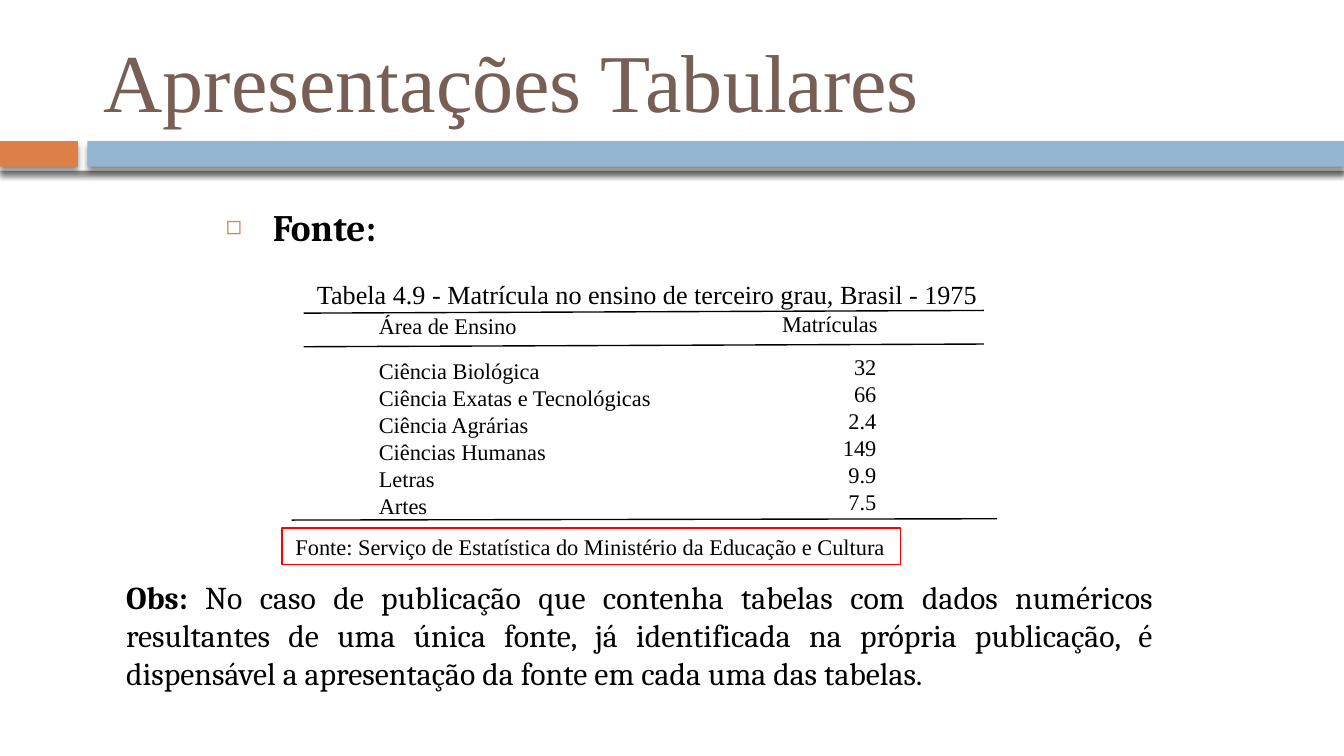
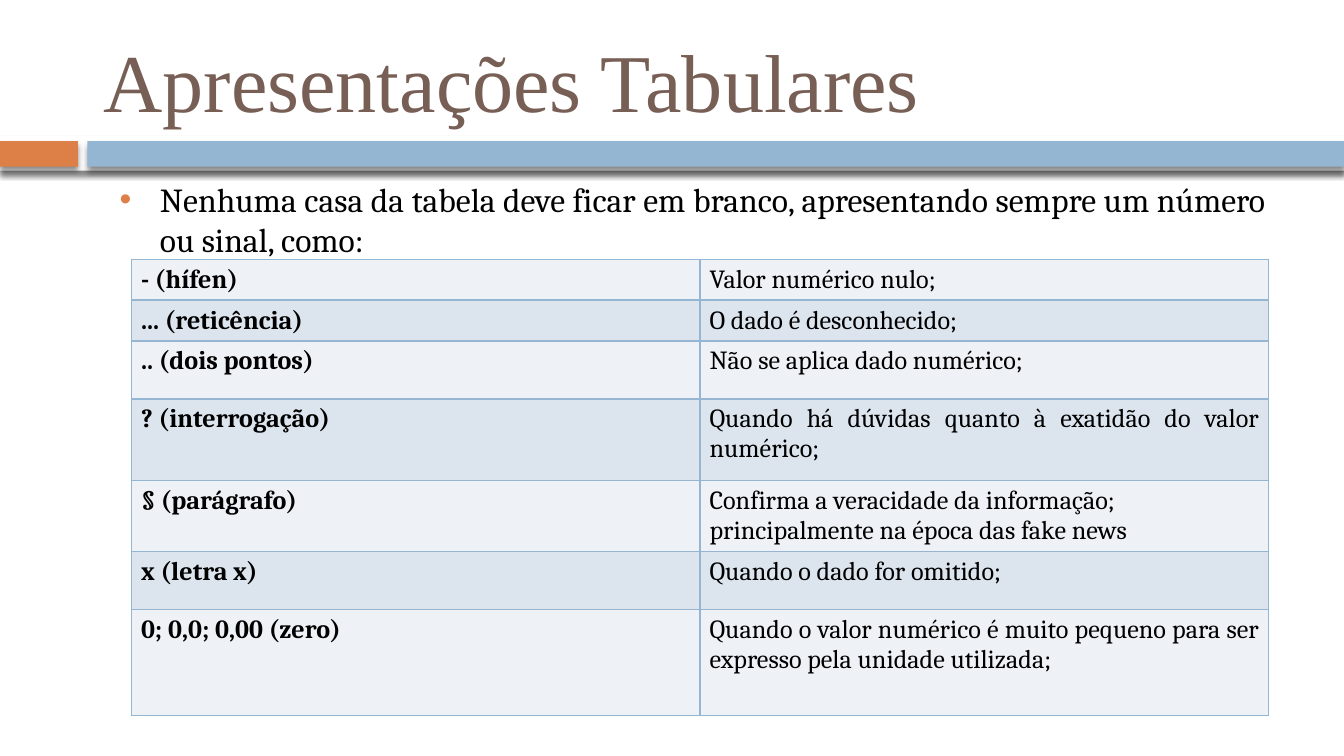
from dataclasses import dataclass

from lxml.etree import SubElement
from pptx import Presentation
from pptx.dml.color import RGBColor
from pptx.enum.shapes import MSO_CONNECTOR as Connector, MSO_SHAPE as Preset
from pptx.enum.text import MSO_ANCHOR as Anchor, MSO_AUTO_SIZE as AutoSize, PP_ALIGN as Align
from pptx.oxml.ns import qn
from pptx.util import Inches, Pt


@dataclass(frozen=True)
class Theme:
    # Colours
    ink: str = "000000"
    white: str = "FFFFFF"
    title: str = "775F55"
    accent: str = "DD8047"
    band: str = "94B6D2"
    alert: str = "FF0000"
    rows: tuple = ("EEF2F6", "DCE5EE")
    # Fonts
    serif: str = "Cambria"
    roman: str = "Times New Roman"
    # Type sizes
    title_size: int = 44
    heading_size: int = 20
    lead_size: int = 18
    note_size: int = 17
    caption_size: int = 14
    small_size: int = 12
    # Line widths
    rule: float = 0.75
    border: float = 0.96


COLUMNS, ROWS = 100, 56.25
WIDTH, HEIGHT = Inches(10), Inches(5.625)


def cols(count):
    return round(WIDTH * count / COLUMNS)


def rows(count):
    return round(HEIGHT * count / ROWS)


def area(left, top, width, height):
    return cols(left), rows(top), cols(width), rows(height)


def apply(target, values):
    for name, value in values.items():
        setattr(target, name, value)


def add_element(parent, tag, **attributes):
    return SubElement(parent, qn(tag), attributes)


class Deck:
    def __init__(self, theme):
        self.theme = theme
        self.file = Presentation()
        apply(self.file, {"slide_width": WIDTH, "slide_height": HEIGHT})
        self.layout = self.file.slide_layouts[1]
        self.slide = None

    def new_slide(self, title):
        t = self.theme
        self.slide = self.file.slides.add_slide(self.layout)
        if len(self.file.slides) == 1:
            self.add_bands()
        self.place(self.slide.shapes.title, (6.7, 1.9, 89.2, 8.1))
        self.set_text(self.slide.shapes.title, [title], t.title_size, t.roman,
                      color=t.title, anchor=Anchor.MIDDLE, inset=(1, 0.5))

    def add_bands(self):
        """Bands are drawn once and handed to the shared layout."""
        t = self.theme
        for box, color in (((0, 10.1, 100, 2.6), t.white),
                           ((0, 10.5, 5.8, 1.9), t.accent),
                           ((6.5, 10.5, 93.5, 1.9), t.band)):
            band = self.shape(box, fill=color)
            properties = band._element.spPr
            properties.remove(properties.find(qn("a:effectLst")))
            effects = add_element(properties, "a:effectLst")
            shadow = add_element(effects, "a:outerShdw", blurRad=str(Pt(3)),
                                 dist=str(Pt(2.4)), dir="5400000", rotWithShape="0")
            shade = add_element(shadow, "a:srgbClr", val=t.ink)
            add_element(shade, "a:alpha", val="45000")
            self.layout.shapes._spTree.append(band._element)

    def place(self, item, box):
        apply(item, dict(zip(("left", "top", "width", "height"), area(*box))))

    def shape(self, box, fill=None, line=None):
        item = self.slide.shapes.add_shape(Preset.RECTANGLE, *area(*box))
        item.shadow.inherit = False
        for part, color in ((item.fill, fill), (item.line.fill, line)):
            if color:
                part.solid()
                part.fore_color.rgb = RGBColor.from_string(color)
            else:
                part.background()
        if line:
            item.line.width = Pt(self.theme.rule)
        return item

    def fill_paragraph(self, paragraph, pieces, size, font, color=None, bold=False,
                       align=Align.LEFT):
        """Pieces are a string, or (text, bold) pairs."""
        apply(paragraph, {"alignment": align, "space_before": Pt(0)})
        for text, strong in [(pieces, bold)] if isinstance(pieces, str) else pieces:
            run = paragraph.add_run()
            run.text = text
            apply(run.font, {"size": Pt(size), "name": font, "bold": strong})
            run.font.color.rgb = RGBColor.from_string(color or self.theme.ink)

    def set_text(self, item, paragraphs, size, font, anchor=Anchor.TOP, inset=(1, 1), **style):
        across, down = cols(inset[0]), rows(inset[1])
        frame = item.text_frame
        apply(frame, {"word_wrap": True, "auto_size": AutoSize.NONE, "vertical_anchor": anchor,
                      "margin_left": across, "margin_right": across,
                      "margin_top": down, "margin_bottom": down})
        for index, pieces in enumerate(paragraphs):
            paragraph = frame.add_paragraph() if index else frame.paragraphs[0]
            self.fill_paragraph(paragraph, pieces, size, font, **style)

    def text(self, box, paragraphs, size, font, **style):
        item = self.slide.shapes.add_textbox(*area(*box))
        self.set_text(item, paragraphs, size, font, **style)

    def bullet(self, box, text, size, symbol, indent, hang, level=0, scale=100, **style):
        body = self.slide.placeholders[1]
        self.place(body, box)
        paragraph = body.text_frame.paragraphs[0]
        paragraph.level = level
        properties = paragraph._p.get_or_add_pPr()
        properties.set("marL", str(cols(indent)))
        properties.set("indent", str(-cols(hang)))
        color = add_element(properties, "a:buClr")
        add_element(color, "a:srgbClr", val=self.theme.accent)
        add_element(properties, "a:buSzPct", val=str(scale * 1000))
        add_element(properties, "a:buChar", char=symbol)
        self.set_text(body, [text], size, self.theme.serif, align=Align.JUSTIFY, **style)

    def rule(self, left, top, right, bottom):
        line = self.slide.shapes.add_connector(
            Connector.STRAIGHT, cols(left), rows(top), cols(right), rows(bottom))
        line.line.width = Pt(self.theme.rule)
        line.line.color.rgb = RGBColor.from_string(self.theme.ink)
        add_element(line._element.spPr, "a:effectLst")

    def table(self, corner, column_width, row_heights, entries, justified):
        t = self.theme
        box = (*corner, 2 * column_width, sum(row_heights))
        grid = self.slide.shapes.add_table(len(entries), 2, *area(*box)).table
        apply(grid, {"first_row": False, "horz_banding": False})
        for column in grid.columns:
            column.width = cols(column_width)
        for r, (entry, height) in enumerate(zip(entries, row_heights)):
            grid.rows[r].height = rows(height)
            for c, text in enumerate(entry):
                cell = grid.cell(r, c)
                apply(cell, {"margin_left": cols(0.7), "margin_right": cols(0.7),
                             "margin_top": rows(0.4), "margin_bottom": rows(0.4)})
                self.border(cell)
                cell.fill.solid()
                cell.fill.fore_color.rgb = RGBColor.from_string(t.rows[r % 2])
                align = Align.JUSTIFY if c == 1 and r in justified else Align.LEFT
                self.fill_paragraph(cell.text_frame.paragraphs[0], text, t.caption_size,
                                    t.serif, bold=c == 0, align=align)

    def border(self, cell):
        properties = cell._tc.get_or_add_tcPr()
        for side in ("a:lnL", "a:lnR", "a:lnT", "a:lnB"):
            line = add_element(properties, side, w=str(Pt(self.theme.border)))
            color = add_element(line, "a:solidFill")
            add_element(color, "a:srgbClr", val=self.theme.band)


TITLE = "Apresentações Tabulares"

ENROLMENT = {
    "Ciência Biológica": "32",
    "Ciência Exatas e Tecnológicas": "66",
    "Ciência Agrárias": "2.4",
    "Ciências Humanas": "149",
    "Letras": "9.9",
    "Artes": "7.5",
}

SIGNS = [
    ("- (hífen)", "Valor numérico nulo;"),
    ("... (reticência)", "O dado é desconhecido;"),
    (".. (dois pontos)", "Não se aplica dado numérico;"),
    ("? (interrogação)", "Quando há dúvidas quanto à exatidão do valor numérico;"),
    ("§ (parágrafo)",
     "Confirma a veracidade da informação; principalmente na época das fake news"),
    ("x (letra x)", "Quando o dado for omitido;"),
    ("0; 0,0; 0,00 (zero)",
     "Quando o valor numérico é muito pequeno para ser expresso pela unidade utilizada;"),
]


def source_slide(deck):
    t = deck.theme
    deck.new_slide(TITLE)
    deck.bullet((15.8, 14.2, 32.8, 5.4), "Fonte:", t.heading_size, "◻",
                indent=3.5, hang=3.5, scale=70, bold=True)

    # Enrolment table set in open columns between rules
    deck.text((22.6, 19.7, 55.8, 3.5),
              ["Tabela 4.9 - Matrícula no ensino de terceiro grau, Brasil - 1975"],
              t.caption_size, t.roman)
    for box, lines, align in (
            ((27.2, 22.4, 17.5, 1.6), ["Área de Ensino"], Align.LEFT),
            ((57.2, 22.4, 12.8, 1.3), ["Matrículas"], Align.LEFT),
            ((27.2, 25.6, 27, 12.6), ENROLMENT.keys(), Align.LEFT),
            ((58.5, 25.3, 7.7, 11.3), ENROLMENT.values(), Align.RIGHT)):
        deck.text(box, lines, t.small_size, t.roman, align=align)
    for ends in ((22.6, 23.3, 73.2, 23.1), (22.6, 25.8, 73.2, 25.6), (21.7, 38.7, 74.2, 38.6)):
        deck.rule(*ends)

    # Source line and remark
    source = deck.shape((21, 39.3, 46, 2.7), line=t.alert)
    deck.set_text(source, ["Fonte: Serviço de Estatística do Ministério da Educação e Cultura"],
                  t.small_size, t.roman, anchor=Anchor.MIDDLE)
    remark = [("Obs: ", True),
              ("No caso de publicação que contenha tabelas com dados numéricos resultantes "
               "de uma única fonte, já identificada na própria publicação, é dispensável a "
               "apresentação da fonte em cada uma das tabelas.", False)]
    deck.text((8.4, 42.5, 78.4, 12.6), [remark], t.note_size, t.serif,
              align=Align.JUSTIFY, inset=(1, 0.5))


def signs_slide(deck):
    deck.new_slide(TITLE)
    deck.bullet((3.9, 12.8, 91.3, 4.9),
                "Nenhuma casa da tabela deve ficar em branco, apresentando sempre um número "
                "ou sinal, como:",
                deck.theme.lead_size, "•", indent=7, hang=3, level=1, inset=(1, 0.5))
    deck.table((9.8, 19.3), 42.3, (2.4, 2.5, 4.3, 6.1, 4.3, 4.3, 7.9), SIGNS, justified=(3, 6))


def main():
    deck = Deck(Theme())
    source_slide(deck)
    signs_slide(deck)
    deck.file.save("out.pptx")


if __name__ == "__main__":
    main()
